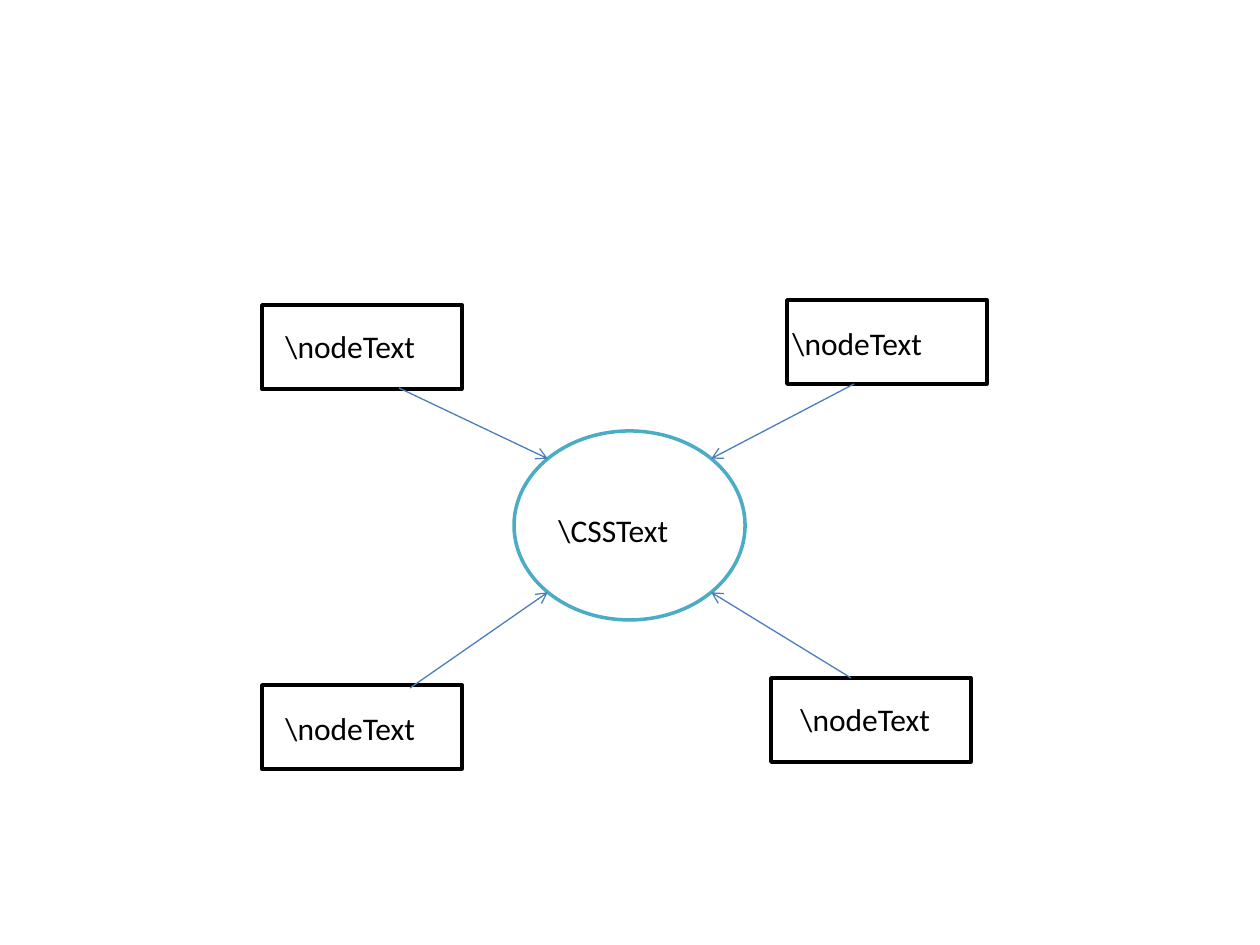
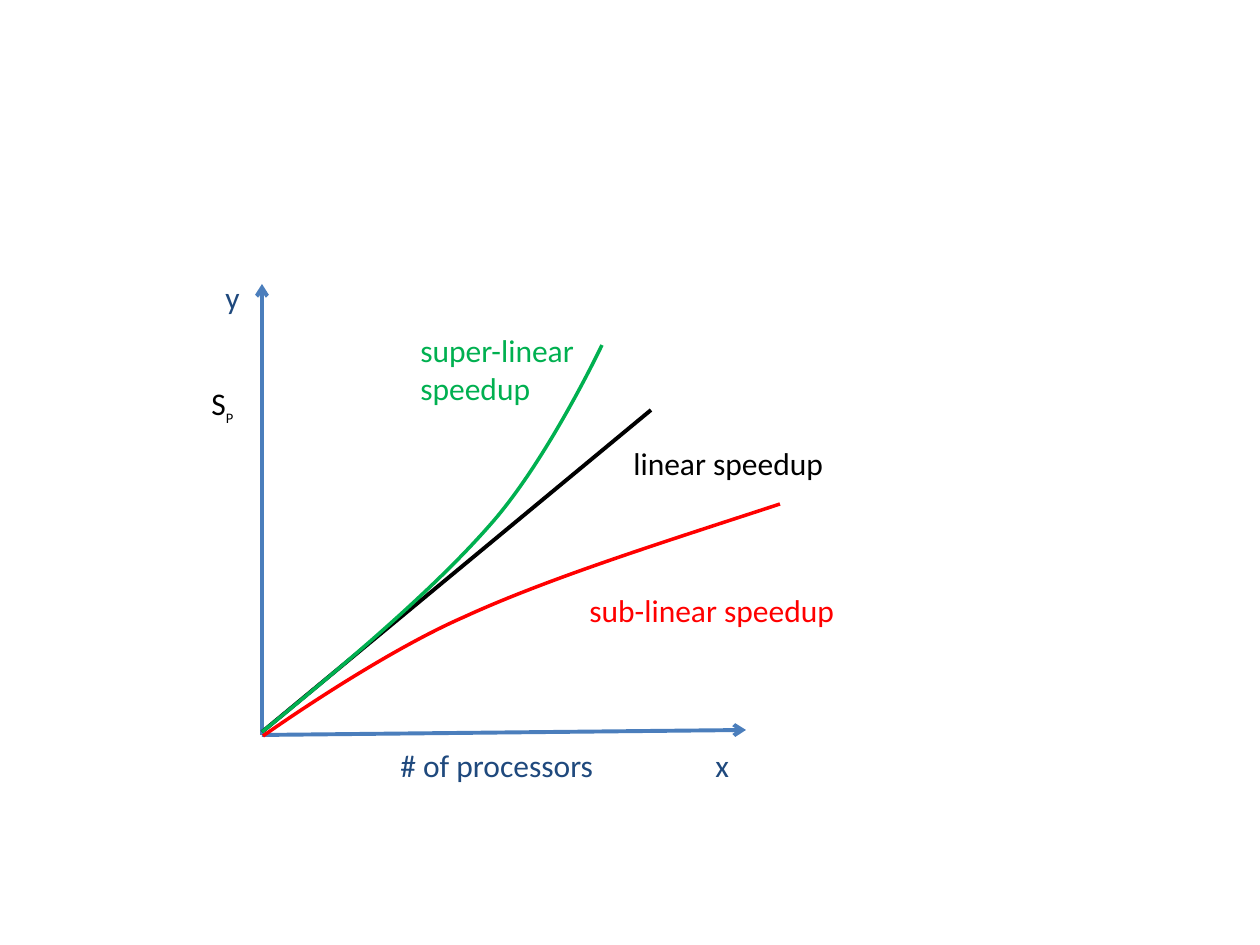
from math import sqrt

from lxml import etree
from pptx import Presentation
from pptx.dml.color import RGBColor
from pptx.enum.shapes import MSO_CONNECTOR, MSO_SHAPE
from pptx.enum.text import MSO_AUTO_SIZE
from pptx.oxml.ns import qn
from pptx.util import Pt

PX = 914400 / 126
STRAIGHT = MSO_CONNECTOR.STRAIGHT
RECTANGLE, OVAL = MSO_SHAPE.RECTANGLE, MSO_SHAPE.OVAL
FIT_TEXT = MSO_AUTO_SIZE.SHAPE_TO_FIT_TEXT

FONT = "Calibri"
WHITE, BLACK, BLUE, NAVY = "FFFFFF", "000000", "4B7EBC", "1F497D"
TEAL, GREEN, RED = "4BACC6", "00B050", "FF0000"

HUB = (514, 431, 231, 189)
HUB_LABEL = ("\\CSSText", 546, 505)
NODE_TEXT = "\\nodeText"
NODE_SIZE = (200, 84)
LABEL_WIDTH = 168
NODES = [
    {"corner": (262, 305), "label": (273, 321), "start": (399, 388), "side": (-1, -1)},
    {"corner": (787, 300), "label": (780, 318), "start": (854, 384), "side": (1, -1)},
    {"corner": (771, 678), "label": (788, 694), "start": (851, 678), "side": (1, 1)},
    {"corner": (262, 685), "label": (273, 703), "start": (410, 688), "side": (-1, 1)},
]

ORIGIN = (262, 735)
AXIS_ENDS = [(262, 284), (746, 730)]
LINEAR = [(262, 732), (651, 410)]
CURVES = [
    (GREEN, [(262, 732), (348, 662), (433, 590), (490, 525),
             (547, 461), (602, 345), (602, 345)]),
    (RED, [(780, 504), (664, 542), (549, 578), (464, 617),
           (377, 655), (263, 736), (263, 736)]),
]
CHART_LABELS = [
    ("super-linear\nspeedup", 408, 325, 192, GREEN),
    ("linear speedup", 621, 438, 305, BLACK),
    ("sub-linear speedup", 577, 585, 305, RED),
    ("# of processors", 388, 740, 239, NAVY),
    ("x", 703, 740, 84, NAVY),
    ("y", 213, 272, 42, NAVY),
]
SPEEDUP_SYMBOL = ("S", "p", 199, 378, 57)


def emu(*lengths):
    """Turn px lengths into EMU."""
    return [round(length * PX) for length in lengths]


def color(hex_text):
    """Turn a hex string into a colour."""
    return RGBColor.from_string(hex_text)


def set_line(shape, hex_text, width):
    """Give a shape or connector its line colour and width."""
    shape.line.color.rgb = color(hex_text)
    shape.line.width = Pt(width)


def add_text(page, text, left, top, width, height=50, hex_text=BLACK, size=18, subscript=""):
    """Add a text box with one paragraph per line and an optional subscript."""
    box = page.shapes.add_textbox(*emu(left, top, width, height))
    frame = box.text_frame
    frame.word_wrap = True
    frame.auto_size = FIT_TEXT
    frame.text = text
    if subscript:
        span = frame.paragraphs[-1].add_run()
        span.text = subscript
        properties = span.font._element
        properties.set("baseline", "-25000")
        properties.set("cap", "small")
    for para in frame.paragraphs:
        for span in para.runs:
            span.font.name = FONT
            span.font.size = Pt(size)
            span.font.color.rgb = color(hex_text)


def add_outline(page, kind, bounds, hex_text):
    """Add a white preset shape with a coloured outline."""
    shape = page.shapes.add_shape(kind, *emu(*bounds))
    shape.shadow.inherit = False
    shape.fill.solid()
    shape.fill.fore_color.rgb = color(WHITE)
    set_line(shape, hex_text, 2)


def add_line(page, start, end, hex_text, width, arrow=False):
    """Add a straight connector, with an arrowhead at its end if asked."""
    line = page.shapes.add_connector(STRAIGHT, *emu(*start, *end))
    set_line(line, hex_text, width)
    if arrow:
        etree.SubElement(line.line._get_or_add_ln(), qn("a:tailEnd"), type="arrow")
    etree.SubElement(line._element.spPr, qn("a:effectLst"))


def add_curve(page, points, hex_text):
    """Add an open outline whose points after the first form cubic curves."""
    start, *rest = [emu(*point) for point in points]
    builder = page.shapes.build_freeform(*start)
    builder.add_line_segments(rest, close=False)
    curve = builder.convert_to_shape()
    curve.shadow.inherit = False
    curve.fill.background()
    set_line(curve, hex_text, 2)
    outline = curve._element.find(".//" + qn("a:path"))
    segments = outline.findall(qn("a:lnTo"))
    for first in range(0, len(segments), 3):
        cubic = etree.SubElement(outline, qn("a:cubicBezTo"))
        for segment in segments[first:first + 3]:
            cubic.append(segment[0])
            outline.remove(segment)


def build_node_page(page):
    """Draw four nodes that point to the hub."""
    left, top, width, height = HUB
    add_outline(page, OVAL, HUB, TEAL)
    for node in NODES:
        add_outline(page, RECTANGLE, (*node["corner"], *NODE_SIZE), BLACK)
        add_text(page, NODE_TEXT, *node["label"], LABEL_WIDTH)
        across, down = node["side"]
        end = (left + width / 2 * (1 + across / sqrt(2)),
               top + height / 2 * (1 + down / sqrt(2)))
        add_line(page, node["start"], end, BLUE, 0.75, arrow=True)
    add_text(page, *HUB_LABEL, LABEL_WIDTH)


def build_speedup_page(page):
    """Draw the axes, the three speedup curves and their labels."""
    for end in AXIS_ENDS:
        add_line(page, ORIGIN, end, BLUE, 2.25, arrow=True)
    add_line(page, *LINEAR, BLACK, 2.25)
    for hex_text, points in CURVES:
        add_curve(page, points, hex_text)
    for text, left, top, width, hex_text in CHART_LABELS:
        height = 50 + 39 * text.count("\n")
        add_text(page, text, left, top, width, height, hex_text=hex_text)
    symbol, index, left, top, width = SPEEDUP_SYMBOL
    add_text(page, symbol, left, top, width, subscript=index)


def main():
    """Build and save the deck."""
    deck = Presentation()
    deck.slide_width, deck.slide_height = emu(1260, 945)
    for build in (build_node_page, build_speedup_page):
        build(deck.slides.add_slide(deck.slide_layouts[6]))
    deck.save("out.pptx")


if __name__ == "__main__":
    main()
